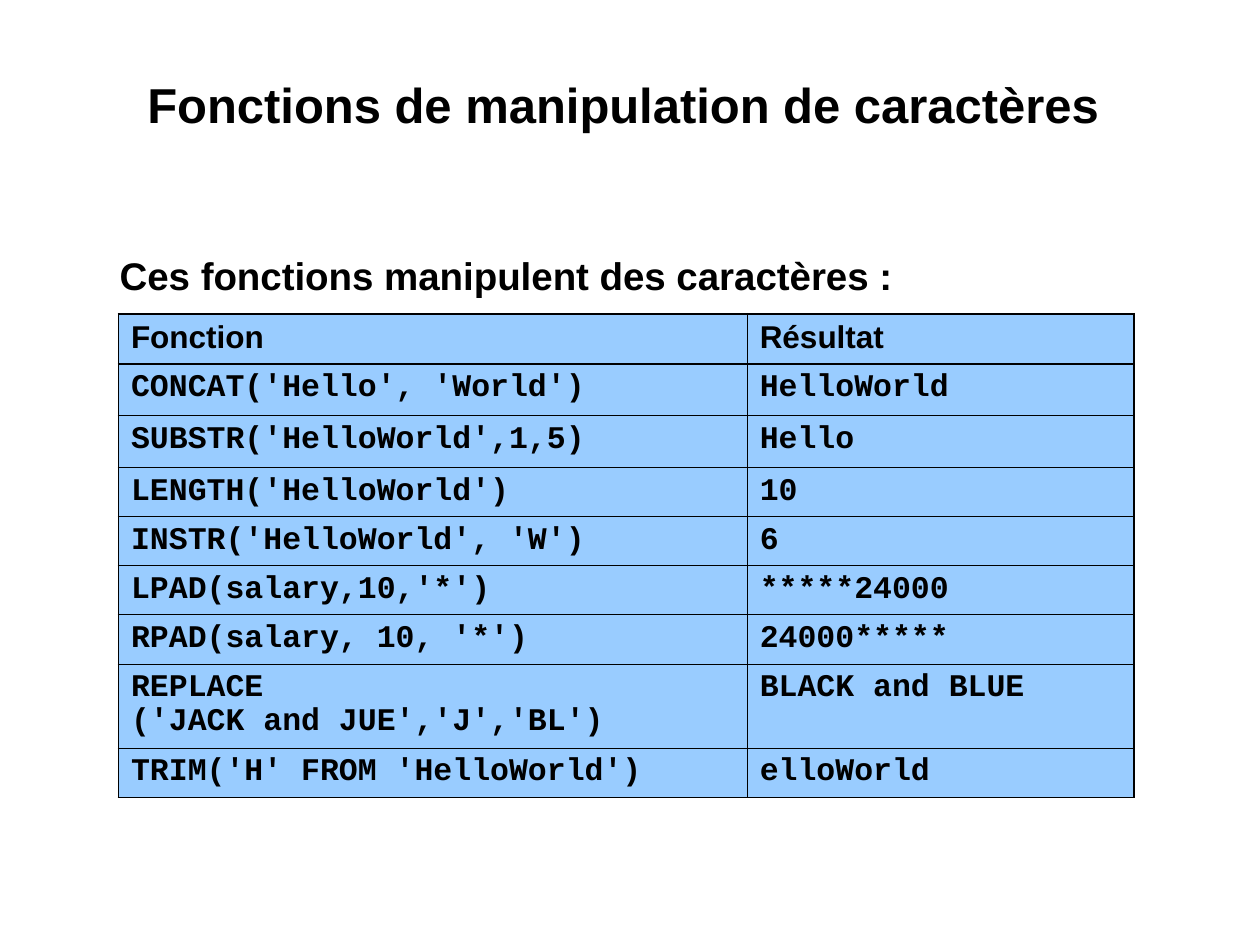
"""Build a slide listing SQL character functions and their results."""
from lxml import etree
from pptx import Presentation
from pptx.dml.color import RGBColor
from pptx.enum.text import MSO_ANCHOR, PP_ALIGN
from pptx.oxml.ns import qn
from pptx.util import Inches, Pt

TOP = MSO_ANCHOR.TOP
LEFT, CENTER = PP_ALIGN.LEFT, PP_ALIGN.CENTER
WIDE, HIGH = 10, 7.5
INK, BLUE = "000000", "99CCFF"
THICK, THIN = 1.08, 0.45

TITLE = "Fonctions de manipulation de caractères "
LEAD = "Ces fonctions manipulent des caractères\u00a0:"
ROWS = [
    ("Fonction", "Résultat"),
    ("CONCAT('Hello', 'World')", "HelloWorld"),
    ("SUBSTR('HelloWorld',1,5)", "Hello"),
    ("LENGTH('HelloWorld')", "10"),
    ("INSTR('HelloWorld', 'W')", "6"),
    ("LPAD(salary,10,'*')", "*****24000"),
    ("RPAD(salary, 10, '*')", "24000*****"),
    ("REPLACE\v('JACK and JUE','J','BL')", "BLACK and BLUE"),
    ("TRIM('H' FROM 'HelloWorld')", "elloWorld"),
]
COLS = [4.99, 3.07]
TALL = [0.4, 0.41, 0.41, 0.39, 0.39, 0.39, 0.39, 0.67, 0.39]
EDGE = 0.94

HEAD = {"name": "Arial", "size": Pt(18), "bold": True}
CODE = {**HEAD, "name": "Courier New"}


def color(code):
    return RGBColor.from_string(code)


def write(frame, text, form, align=LEFT, lead=1.0):
    frame.text = text
    para = frame.paragraphs[0]
    para.alignment, para.line_spacing, para.space_before = align, lead, Pt(0)
    for run in para.runs:
        for key, val in form.items():
            setattr(run.font, key, val)
        run.font.color.rgb = color(INK)


def place(shape, box, text, size, align):
    shape.left, shape.top, shape.width, shape.height = map(Inches, box)
    frame = shape.text_frame
    frame.word_wrap, frame.vertical_anchor = True, TOP
    for side in ("left", "top", "right", "bottom"):
        setattr(frame, f"margin_{side}", Inches(0.01))
    write(frame, text, {**HEAD, "size": Pt(size)}, align)


def border(cell, sides):
    props = cell._tc.get_or_add_tcPr()
    for spot, (side, width) in enumerate(sides.items()):
        line = etree.Element(qn(f"a:ln{side}"), w=str(Pt(width)))
        fill = etree.SubElement(line, qn("a:solidFill"))
        etree.SubElement(fill, qn("a:srgbClr"), val=INK)
        props.insert(spot, line)


def weight(outer):
    return THICK if outer else THIN


def grid(slide):
    box = map(Inches, (EDGE, HIGH / 3 - 0.01, sum(COLS), sum(TALL)))
    table = slide.shapes.add_table(len(ROWS), len(COLS), *box).table
    for col, width in zip(table.columns, COLS):
        col.width = Inches(width)
    for row, height in zip(table.rows, TALL):
        row.height = Inches(height)
    for r, texts in enumerate(ROWS):
        for c, text in enumerate(texts):
            cell = table.cell(r, c)
            cell.fill.solid()
            cell.fill.fore_color.rgb = color(BLUE)
            form, lead = (CODE, 0.95) if r else (HEAD, 1.0)
            write(cell.text_frame, text, form, lead=lead)
            border(cell, {
                "L": weight(c == 0),
                "R": weight(c == len(COLS) - 1),
                "T": weight(r < 2),
                "B": weight(r in (0, len(ROWS) - 1)),
            })


def main():
    deck = Presentation()
    deck.slide_width, deck.slide_height = Inches(WIDE), Inches(HIGH)
    slide = deck.slides.add_slide(deck.slide_layouts[5])
    box = (WIDE * 0.1, 0.58, WIDE * 0.8, 0.96)
    place(slide.shapes.title, box, TITLE, 28, CENTER)
    note = slide.shapes.add_textbox(0, 0, 0, 0)
    place(note, (EDGE, 1.99, sum(COLS), 0.39), LEAD, 22, LEFT)
    grid(slide)
    deck.save("out.pptx")


if __name__ == "__main__":
    main()
